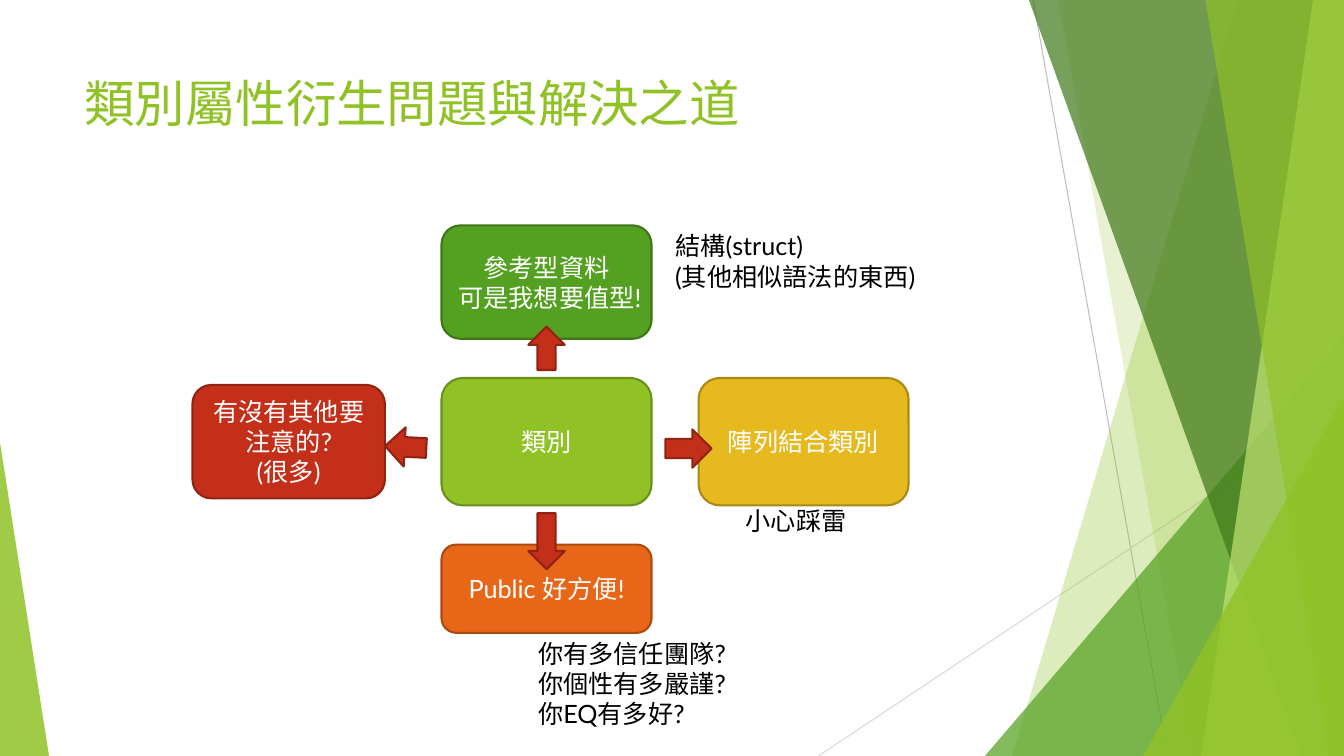
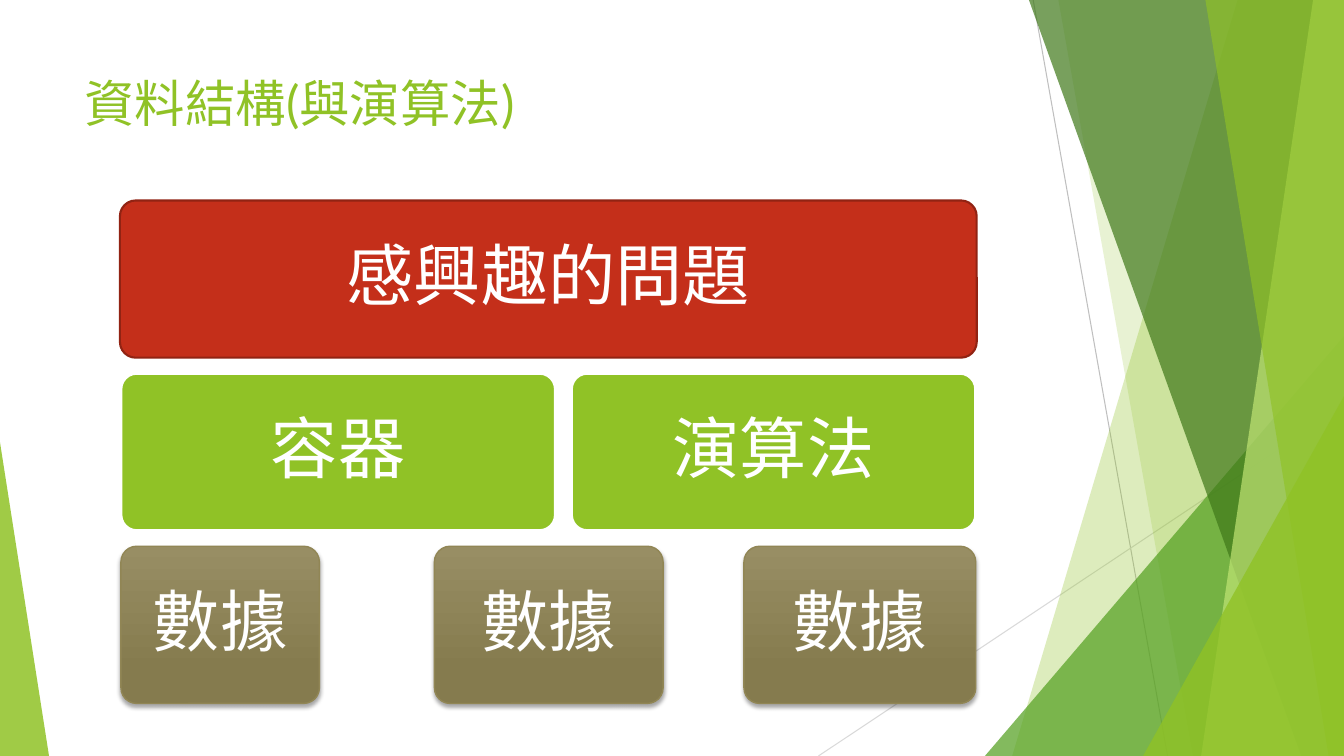
import pptx
import pptx.util
import pptx.dml.color
import pptx.enum.shapes
import pptx.enum.text
import pptx.oxml
import pptx.oxml.ns
import pptx.oxml.xmlchemy

Pt = pptx.util.Pt
RGBColor = pptx.dml.color.RGBColor
SHAPE = pptx.enum.shapes.MSO_SHAPE
ALIGN = pptx.enum.text.PP_ALIGN
ANCHOR = pptx.enum.text.MSO_ANCHOR
qn = pptx.oxml.ns.qn
OxmlElement = pptx.oxml.xmlchemy.OxmlElement

WIDTH, HEIGHT = 960, 540
FONT = "Lato"
WHITE = RGBColor(0xFF, 0xFF, 0xFF)
BLACK = RGBColor(0x00, 0x00, 0x00)
LIME = RGBColor(0x90, 0xC2, 0x26)
LIME_EDGE = RGBColor(0x6B, 0x90, 0x1C)
PALE_LIME = RGBColor(0xC0, 0xE4, 0x74)
GREEN = RGBColor(0x54, 0xA0, 0x21)
GREEN_EDGE = RGBColor(0x3E, 0x76, 0x18)
DARK_GREEN = RGBColor(0x3F, 0x78, 0x19)
ORANGE = RGBColor(0xE7, 0x66, 0x18)
ORANGE_EDGE = RGBColor(0xAB, 0x4B, 0x12)
RED = RGBColor(0xC4, 0x2F, 0x1A)
RED_EDGE = RGBColor(0x91, 0x23, 0x13)
GOLD = RGBColor(0xE6, 0xB9, 0x1E)
GOLD_EDGE = RGBColor(0xAA, 0x89, 0x16)
OLIVE_TOP = RGBColor(0x98, 0x8E, 0x64)
OLIVE_BOTTOM = RGBColor(0x85, 0x7B, 0x4E)
OLIVE_EDGE = RGBColor(0x91, 0x86, 0x55)
GRAY = RGBColor(0xBF, 0xBF, 0xBF)
LIGHT_GRAY = RGBColor(0xD9, 0xD9, 0xD9)

TITLE_BOX = (53.3, 48.2, 677, 104)
HAIRLINES = [((738, 0), (834, HEIGHT), GRAY), ((WIDTH, 290), (584.6, HEIGHT), LIGHT_GRAY)]
FACETS = [
    ("band", (884, 723), LIME, 30),
    ("band", (756, 852), LIME, 20),
    ("triangle", (703.5, 240, 256.5, 300, 1), GREEN, 72),
    ("band", (735, 929.5), DARK_GREEN, 70),
    ("band", (938, 858), PALE_LIME, 70),
    ("band", (861, 949), LIME, 65),
    ("triangle", (816.5, 283, 143.5, 257, 1), LIME, 80),
    ("triangle", (0, 316, 35, 224, 0), LIME, 85),
]

CLASS_TITLE = "類別屬性衍生問題與解決之道"
HUB_X, HUB_Y = 390.4, 315.5
CLASS_BOXES = [
    (["類別"], HUB_X, HUB_Y, 150, 91, LIME, LIME_EDGE),
    (["參考型資料", "可是我想要值型!"], HUB_X, 201.5, 150, 81, GREEN, GREEN_EDGE),
    (["Public 好方便!"], HUB_X, 420.5, 150, 63, ORANGE, ORANGE_EDGE),
    (["有沒有其他要注意的?", "(很多)"], 206.2, HUB_Y, 137.5, 81, RED, RED_EDGE),
    (["陣列結合類別"], 574, HUB_Y, 150, 91, GOLD, GOLD_EDGE),
]
ARROWS = [
    (SHAPE.DOWN_ARROW, HUB_X, 248.8, 26, 31, 180),
    (SHAPE.DOWN_ARROW, HUB_X, 386.6, 26, 40, 0),
    (SHAPE.RIGHT_ARROW, 289.8, 319.3, 29.5, 28, 182.8),
    (SHAPE.RIGHT_ARROW, 491.8, 320.4, 33, 27.4, 0),
]
REMARKS = [
    (["結構(struct)", "(其他相似語法的東西)"], (475.2, 161.3, 205.2, 51)),
    (["你有多信任團隊?", "你個性有多嚴謹?", "你EQ有多好?"], (377.3, 452.2, 171.4, 72.7)),
    (["小心踩雷"], (525.6, 357.1, 171.4, 29)),
]

LAYER_TITLE = "資料結構(與演算法)"
LAYER_TOP, LAYER_HEIGHT, LAYER_PITCH = 143.2, 112.3, 123.5
LAYERS = [
    ("red", [("感興趣的問題", 85.7, 612)]),
    ("lime", [("容器", 86.4, 310.3), ("演算法", 408.2, 288.7)]),
    ("olive", [("數據", 86.4, 141.8), ("數據", 310.3, 163.4), ("數據", 531.4, 165.6)]),
]
LAYER_STYLES = {
    "red": ([RED], RED_EDGE, 1.5),
    "lime": ([LIME], WHITE, 2),
    "olive": ([OLIVE_TOP, OLIVE_BOTTOM], OLIVE_EDGE, 1),
}


def points(*lengths):
    return [Pt(length) for length in lengths]


def write(shape, lines, size, color, align=ALIGN.LEFT, anchor=ANCHOR.TOP):
    frame = shape.text_frame
    frame.word_wrap = True
    frame.vertical_anchor = anchor
    frame.text = "\n".join(lines)
    for paragraph in frame.paragraphs:
        paragraph.alignment = align
        paragraph.font.name = FONT
        paragraph.font.size = Pt(size)
        paragraph.font.color.rgb = color


def add_text(slide, box, lines, size, color):
    shape = slide.shapes.add_textbox(*points(*box))
    write(shape, lines, size, color)


def paint(shape, fill, edge=None, edge_width=1.5):
    shape.shadow.inherit = False
    shape.fill.solid()
    shape.fill.fore_color.rgb = fill
    if edge is None:
        shape.line.fill.background()
    else:
        shape.line.color.rgb = edge
        shape.line.width = Pt(edge_width)


def add_centred(slide, kind, x, y, width, height):
    return slide.shapes.add_shape(kind, *points(x - width / 2, y - height / 2, width, height))


def add_hairline(slide, start, end, color):
    line = slide.shapes.add_connector(
        pptx.enum.shapes.MSO_CONNECTOR.STRAIGHT, *points(*start, *end))
    line.line.color.rgb = color
    line.line.width = Pt(0.75)
    line._element.spPr.append(OxmlElement("a:effectLst"))


def add_facet(slide, kind, geometry, color, opacity):
    if kind == "band":
        top_x, bottom_x = geometry
        builder = slide.shapes.build_freeform(Pt(top_x), 0)
        corners = [(WIDTH, 0), (WIDTH, HEIGHT), (bottom_x, HEIGHT)]
        builder.add_line_segments([points(*corner) for corner in corners])
        shape = builder.convert_to_shape()
    else:
        *box, apex = geometry
        shape = slide.shapes.add_shape(SHAPE.ISOSCELES_TRIANGLE, *points(*box))
        shape.adjustments[0] = apex
    paint(shape, color)
    alpha = OxmlElement("a:alpha")
    alpha.set("val", str(opacity * 1000))
    shape._element.spPr.find(qn("a:solidFill")).find(qn("a:srgbClr")).append(alpha)


def add_slide(presentation, title):
    slide = presentation.slides.add_slide(presentation.slide_layouts[6])
    for hairline in HAIRLINES:
        add_hairline(slide, *hairline)
    for facet in FACETS:
        add_facet(slide, *facet)
    add_text(slide, TITLE_BOX, [title], 36, LIME)
    return slide


def add_soft_shadow(shape):
    shadow = pptx.oxml.parse_xml(
        f'<a:outerShdw {pptx.oxml.ns.nsdecls("a")} blurRad="{Pt(3)}" dist="{Pt(2)}" '
        'dir="5400000" rotWithShape="0"><a:srgbClr val="000000">'
        '<a:alpha val="35000"/></a:srgbClr></a:outerShdw>')
    shape._element.spPr.find(qn("a:effectLst")).append(shadow)


def add_layer_block(slide, style, text, left, top, width):
    fills, edge, edge_width = LAYER_STYLES[style]
    shape = slide.shapes.add_shape(
        SHAPE.ROUNDED_RECTANGLE, *points(left, top, width, LAYER_HEIGHT))
    shape.adjustments[0] = 0.1
    paint(shape, fills[0], edge, edge_width)
    if len(fills) > 1:
        shape.fill.gradient()
        shape.fill.gradient_angle = 270
        for stop, color, position in zip(shape.fill.gradient_stops, fills, (0, 0.78)):
            stop.color.rgb = color
            stop.position = position
        add_soft_shadow(shape)
    write(shape, [text], 48, WHITE, ALIGN.CENTER, ANCHOR.MIDDLE)
    shape.text_frame.paragraphs[0].line_spacing = 0.9


def build_class_slide(presentation):
    slide = add_slide(presentation, CLASS_TITLE)
    for lines, x, y, width, height, fill, edge in CLASS_BOXES:
        box = add_centred(slide, SHAPE.ROUNDED_RECTANGLE, x, y, width, height)
        paint(box, fill, edge)
        write(box, lines, 18, WHITE, ALIGN.CENTER, ANCHOR.MIDDLE)
    for kind, x, y, width, height, rotation in ARROWS:
        arrow = add_centred(slide, kind, x, y, width, height)
        arrow.rotation = rotation
        paint(arrow, RED, RED_EDGE)
    for lines, box in REMARKS:
        add_text(slide, box, lines, 18, BLACK)


def build_layer_slide(presentation):
    slide = add_slide(presentation, LAYER_TITLE)
    for row, (style, blocks) in enumerate(LAYERS):
        top = LAYER_TOP + row * LAYER_PITCH
        for text, left, width in blocks:
            add_layer_block(slide, style, text, left, top, width)


def main():
    presentation = pptx.Presentation()
    presentation.slide_width, presentation.slide_height = points(WIDTH, HEIGHT)
    build_class_slide(presentation)
    build_layer_slide(presentation)
    presentation.save("out.pptx")


if __name__ == "__main__":
    main()
